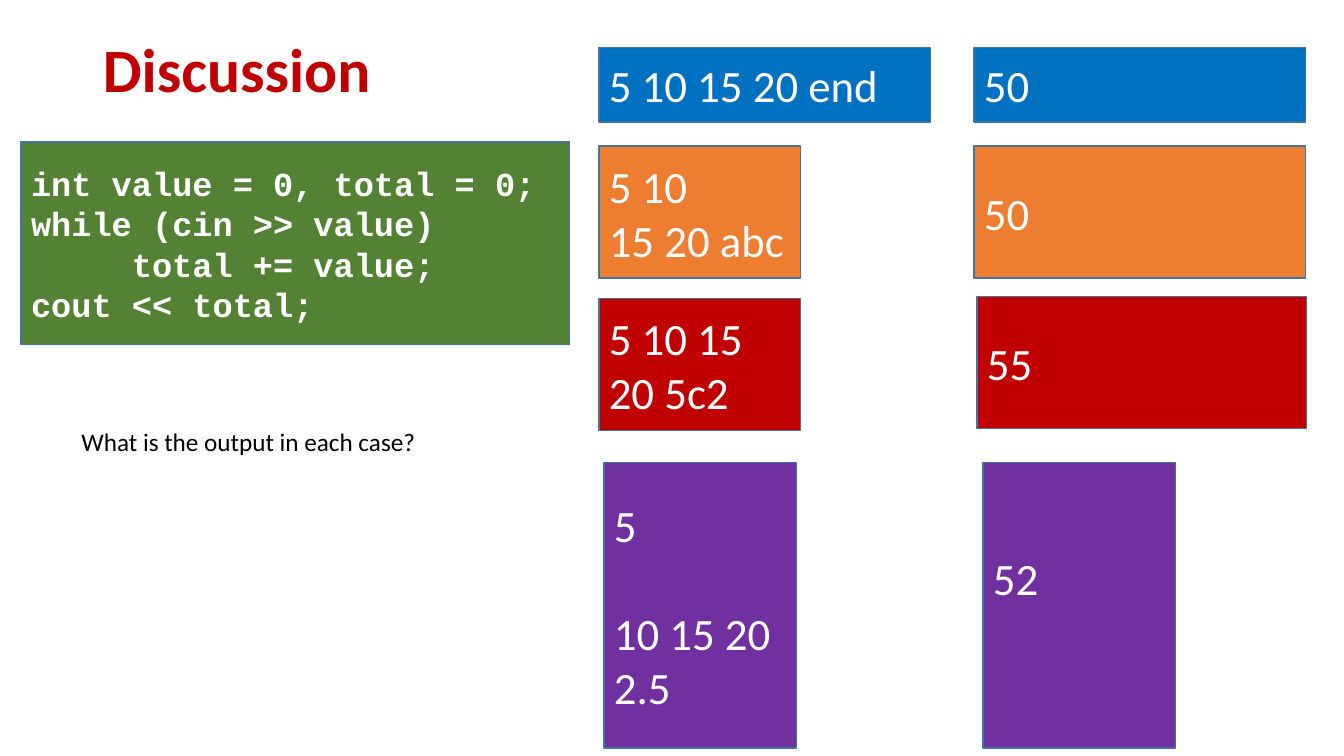
import dataclasses

import pptx
import pptx.dml.color
import pptx.enum.shapes
import pptx.enum.text
import pptx.util

Inches = pptx.util.Inches
Pt = pptx.util.Pt
ANCHOR = pptx.enum.text.MSO_ANCHOR
AUTO_SIZE = pptx.enum.text.MSO_AUTO_SIZE
ALIGN = pptx.enum.text.PP_ALIGN


@dataclasses.dataclass(frozen=True)
class Theme:
    """Colours, fonts and type sizes of the slide."""
    red: str = "C00000"
    green: str = "548235"
    blue: str = "0070C0"
    orange: str = "ED7D31"
    purple: str = "7030A0"
    outline: str = "43739E"
    white: str = "FFFFFF"
    black: str = "000000"
    text_font: str = "Calibri"
    code_font: str = "Courier New"
    title_size: int = 44
    case_size: int = 32
    code_size: int = 24
    question_size: int = 18


THEME = Theme()
CASE_LINE = 39


def color(value):
    """Turn a hex string into a colour."""
    return pptx.dml.color.RGBColor.from_string(value)


def place(shape, box):
    """Move a shape to a box of left, top, width and height in inches."""
    shape.left, shape.top, shape.width, shape.height = map(Inches, box)


def write_lines(text_frame, lines, size, font=THEME.text_font, fill=THEME.white, bold=False):
    """Write one left-aligned paragraph per line and return the paragraphs."""
    for index, line in enumerate(lines):
        paragraph = text_frame.paragraphs[0] if index == 0 else text_frame.add_paragraph()
        paragraph.alignment = ALIGN.LEFT
        run = paragraph.add_run()
        run.text = line
        run.font.name = font
        run.font.size = Pt(size)
        run.font.bold = bold
        run.font.color.rgb = color(fill)
    return text_frame.paragraphs


def add_panel(slide, box, fill):
    """Add an outlined rectangle and return its text frame."""
    panel = slide.shapes.add_shape(pptx.enum.shapes.MSO_SHAPE.RECTANGLE, *map(Inches, box))
    panel.shadow.inherit = False
    panel.fill.solid()
    panel.fill.fore_color.rgb = color(fill)
    panel.line.color.rgb = color(THEME.outline)
    panel.line.width = Pt(1)
    panel.text_frame.word_wrap = True
    panel.text_frame.vertical_anchor = ANCHOR.MIDDLE
    return panel.text_frame


def add_title(slide, box):
    """Fill the title placeholder."""
    title = slide.shapes.title
    place(title, box)
    title.text_frame.auto_size = AUTO_SIZE.NONE
    title.text_frame.vertical_anchor = ANCHOR.MIDDLE
    paragraphs = write_lines(title.text_frame, ["Discussion"], THEME.title_size,
                             fill=THEME.red, bold=True)
    paragraphs[0].line_spacing = 0.9


def add_program(slide, box):
    """Add the code panel with its indented loop body."""
    lines = ["int value = 0, total = 0;", "while (cin >> value)",
             "total += value;", "cout << total;"]
    paragraphs = write_lines(add_panel(slide, box, THEME.green), lines,
                             THEME.code_size, font=THEME.code_font, bold=True)
    loop_body = paragraphs[2]._p.get_or_add_pPr()
    loop_body.set("marL", str(Inches(1)))
    loop_body.set("indent", "0")


def add_question(slide, box):
    """Add the question under the program."""
    text_frame = slide.shapes.add_textbox(*map(Inches, box)).text_frame
    text_frame.word_wrap = False
    text_frame.auto_size = AUTO_SIZE.SHAPE_TO_FIT_TEXT
    write_lines(text_frame, ["What is the output in each case?"],
                THEME.question_size, fill=THEME.black)


def add_case(slide, input_box, output_box, fill, lines, total, gap_line=None):
    """Add an input panel and its output panel, with an optional gap above one input line."""
    paragraphs = write_lines(add_panel(slide, input_box, fill), lines, THEME.case_size)
    output = add_panel(slide, output_box, fill)
    write_lines(output, [total], THEME.case_size)
    if gap_line is not None:
        paragraphs[gap_line].space_before = Pt(CASE_LINE)
        output.margin_bottom = Inches(0.05) + Pt(CASE_LINE)


def add_cases(slide, box):
    """Add the four cases, inputs at the left of the box and outputs at the right."""
    left, top, width, height = box
    right = left + 3.72
    add_case(slide, (left, top, 3.29, 0.74), (right, top, 3.29, 0.74),
             THEME.blue, ["5 10 15 20 end"], "50")
    add_case(slide, (left, top + 0.98, 2, 1.31), (right, top + 0.98, 3.29, 1.31),
             THEME.orange, ["5 10", "15 20 abc"], "50")
    add_case(slide, (left, top + 2.49, 2, 1.31), (right + 0.03, top + 2.47, 3.27, 1.31),
             THEME.red, ["5 10 15", "20 5c2"], "55")
    tall_top = top + height - 2.83
    add_case(slide, (left + 0.05, tall_top, 1.91, 2.83), (right + 0.09, tall_top, 1.91, 2.83),
             THEME.purple, ["5", "10 15 20", "2.5"], "52", gap_line=1)


def main():
    """Build and save the slide."""
    presentation = pptx.Presentation()
    presentation.slide_width = Inches(13.33)
    presentation.slide_height = Inches(7.5)
    slide = presentation.slides.add_slide(presentation.slide_layouts[5])
    add_title(slide, (0.92, 0.23, 5.03, 0.98))
    add_program(slide, (0.21, 1.41, 5.44, 2.01))
    add_question(slide, (0.71, 4.18, 3.56, 0.4))
    add_cases(slide, (5.94, 0.47, 7.02, 6.95))
    presentation.save("out.pptx")


if __name__ == "__main__":
    main()
